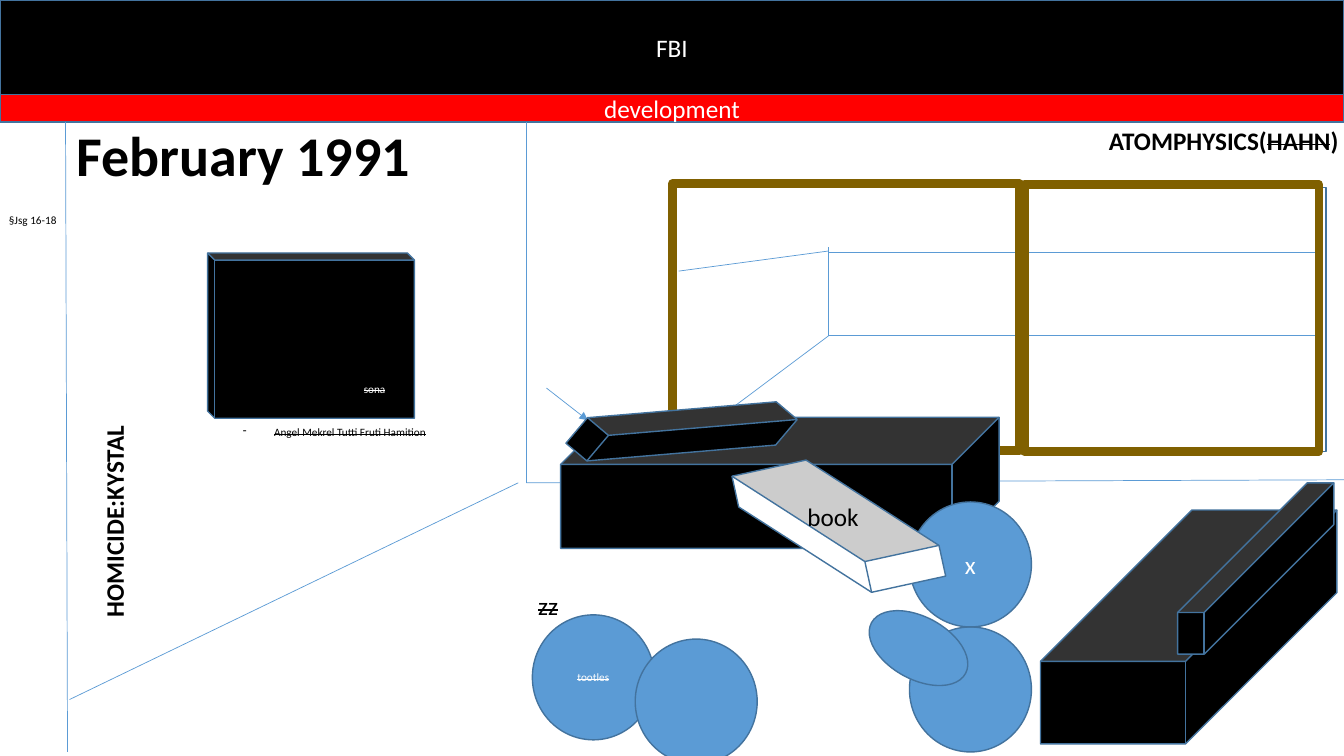
from lxml.etree import SubElement
from pptx import Presentation
from pptx.dml.color import RGBColor
from pptx.enum.shapes import MSO_CONNECTOR, MSO_SHAPE
from pptx.enum.text import MSO_ANCHOR, MSO_AUTO_SIZE, PP_ALIGN
from pptx.oxml.ns import qn
from pptx.util import Inches, Pt

BLACK, WHITE, RED = "000000", "FFFFFF", "FF0000"
BLUE, OUTLINE, BROWN = "5B9BD5", "43739E", "806000"
DISC = (1.21, 1.24)


def color(value):
    return RGBColor.from_string(value)


def format_span(span, size, ink, bold=False, strike=False):
    span.font.name = "Calibri"
    span.font.size = Pt(size)
    span.font.bold = bold
    span.font.color.rgb = color(ink)
    if strike:
        span.font._element.set("strike", "sngStrike")


def add_form(page, kind, left, top, width, height, fill=None, line=OUTLINE,
             weight=1, turn=0, depth=None):
    form = page.shapes.add_shape(kind, Inches(left), Inches(top),
                                 Inches(width), Inches(height))
    form.shadow.inherit = False
    form.rotation = turn
    if depth is not None:
        form.adjustments[0] = depth
    if fill:
        form.fill.solid()
        form.fill.fore_color.rgb = color(fill)
    else:
        form.fill.background()
    form.line.color.rgb = color(line)
    form.line.width = Pt(weight)
    return form


def add_caption(form, text, size, strike=False):
    frame = form.text_frame
    frame.text = text
    frame.vertical_anchor = MSO_ANCHOR.MIDDLE
    para = frame.paragraphs[0]
    para.alignment = PP_ALIGN.CENTER
    format_span(para.runs[0], size, WHITE, strike=strike)


def add_label(page, left, top, width, height, pieces, size, ink=BLACK,
              bold=False, wrap=False):
    """Write one line made of (text, strike) pieces."""
    box = page.shapes.add_textbox(Inches(left), Inches(top),
                                  Inches(width), Inches(height))
    frame = box.text_frame
    frame.word_wrap = wrap
    frame.auto_size = MSO_AUTO_SIZE.SHAPE_TO_FIT_TEXT
    for text, strike in pieces:
        span = frame.paragraphs[0].add_run()
        span.text = text
        format_span(span, size, ink, bold, strike)
    return box


def add_line(page, x1, y1, x2, y2):
    line = page.shapes.add_connector(MSO_CONNECTOR.STRAIGHT, Inches(x1),
                                     Inches(y1), Inches(x2), Inches(y2))
    line.line.color.rgb = color(BLUE)
    line.line.width = Pt(0.5)
    SubElement(line.element.spPr, qn("a:effectLst"))
    return line


def add_header(page, left, top, width):
    bands = [("FBI", 0, 0.94, BLACK), ("development", 0.94, 0.27, RED)]
    for text, offset, height, fill in bands:
        band = add_form(page, MSO_SHAPE.RECTANGLE, left, top + offset,
                        width, height, fill)
        add_caption(band, text, 18)


def add_room(page, left, top, width, height):
    corner_x, corner_y = left + 5.22, top + 3.58
    # Floor and wall edges
    add_line(page, left + 0.69, top + 5.73, corner_x - 0.08, corner_y)
    add_line(page, corner_x, corner_y, left + width, corner_y - 0.03)
    add_line(page, corner_x, corner_y, corner_x, top)
    add_line(page, left + 0.67, top + height - 0.04, left + 0.65, top)


def add_window(page, left, top, width, height):
    # Room seen through the glass
    back_x, floor_y, ceiling_y = left + 1.55, top + 1.51, top + 0.68
    for y in (floor_y, ceiling_y):
        add_line(page, back_x, y, left + 6.41, y)
    add_line(page, left + 0.12, top + 2.58, back_x, floor_y)
    add_line(page, back_x, floor_y, back_x, top + 0.63)
    add_line(page, back_x, top + 0.67, left + 0.06, top + 0.87)
    # Frame and two panes
    add_form(page, MSO_SHAPE.RECTANGLE, left, top + 0.04, width, height - 0.04)
    panes = [(3.49, 0.01, 2.92), (0, 0, 3.44)]
    for across, down, pane_width in panes:
        add_form(page, MSO_SHAPE.RECTANGLE, left + across, top + down,
                 pane_width, 2.65, line=BROWN, weight=6)


def add_television(page, left, top, width, height):
    screen = add_form(page, MSO_SHAPE.CUBE, left, top, width, height, BLACK,
                      depth=0.043)
    screen.element.spPr.get_or_add_xfrm().set("flipH", "1")
    add_label(page, left + 1.45, top + 1.23, 0.6, 0.24, [("sona", True)], 8,
              WHITE, wrap=True)
    # Dashed list entry under the screen
    note = add_label(page, left + 0.25, top + height + 0.02, 2.05, 0.24,
                     [("Angel Mekrel Tutti Fruti Hamition", True)], 8)
    settings = note.text_frame.paragraphs[0]._p.get_or_add_pPr()
    settings.set("marL", str(Inches(0.31)))
    settings.set("indent", str(-Inches(0.31)))
    SubElement(settings, qn("a:buChar")).set("char", "-")


def add_furniture(page, left, top):
    # Stacked discs on the right, the upper one behind the book
    discs = [(3.46, 2.08, ""), (-0.28, 1.96, "tootles"), (0.74, 2.2, ""),
             (3.46, 0.84, "x")]
    for across, down, text in discs[:3]:
        disc = add_form(page, MSO_SHAPE.OVAL, left + across, top + down,
                        *DISC, BLUE)
        if text:
            add_caption(disc, text, 8, strike=True)
    add_form(page, MSO_SHAPE.OVAL, left + 3.02, top + 1.98, 1.06, 0.62, BLUE,
             turn=28.4)
    # Table, then the disc beside it
    add_form(page, MSO_SHAPE.CUBE, left, top, 4.35, 1.3, BLACK, depth=0.36)
    across, down, text = discs[3]
    add_caption(add_form(page, MSO_SHAPE.OVAL, left + across, top + down,
                         *DISC, BLUE), text, 18)
    # Arrow pointing at the bar on the table
    arrow = add_line(page, left - 0.14, top - 0.29, left + 0.27, top + 0.03)
    SubElement(arrow.line._get_or_add_ln(), qn("a:tailEnd")).set(
        "type", "triangle")
    # Sofa seat and back, bar, book
    blocks = [(4.76, 0.92, 2.94, 2.32, BLACK, 0, 0.647),
              (6.12, 0.65, 1.55, 1.7, BLACK, 0, 0.83),
              (0.4, -0.69, 1.6, 1.66, BLACK, 40.2, 0.83),
              (2.05, 0.15, 1.42, 1.86, WHITE, 257.7, 0.78)]
    for across, down, width, height, fill, turn, depth in blocks:
        add_form(page, MSO_SHAPE.CUBE, left + across, top + down, width,
                 height, fill, turn=turn, depth=depth)
    add_label(page, left + 2.35, top + 0.78, 0.72, 0.4, [("book", False)], 18)
    add_label(page, left - 0.32, top + 1.67, 0.4, 0.4, [("zz", True)], 18)


def add_headings(page, left, top):
    title = page.shapes.title
    title.left, title.top = Inches(left + 0.66), Inches(top - 0.06)
    title.width, title.height = Inches(3.54), Inches(0.77)
    frame = title.text_frame
    frame.text = "February 1991"
    frame.word_wrap = False
    frame.auto_size = MSO_AUTO_SIZE.NONE
    frame.vertical_anchor = MSO_ANCHOR.TOP
    frame.paragraphs[0].alignment = PP_ALIGN.LEFT
    format_span(frame.paragraphs[0].runs[0], 40, BLACK, bold=True)
    add_label(page, left + 10.9, top - 0.02, 2.5, 0.4,
              [("ATOMPHYSICS(", False), ("HAHN", True), (")", False)], 18,
              bold=True)
    case = add_label(page, left + 0.07, top + 3.75, 2.12, 0.4,
                     [("HOMICIDE:KYSTAL", False)], 18, bold=True)
    case.rotation = 270
    add_label(page, left - 0.01, top + 0.86, 0.67, 0.24,
              [("§Jsg 16-18", False)], 8)


def main():
    deck = Presentation()
    deck.slide_width, deck.slide_height = Inches(13.33), Inches(7.5)
    page = deck.slides.add_slide(deck.slide_layouts[5])
    add_header(page, 0, 0, 13.33)
    add_room(page, 0, 1.21, 13.33, 6.29)
    add_window(page, 6.67, 1.82, 6.48, 2.66)
    add_television(page, 2.06, 2.51, 2.05, 1.64)
    add_headings(page, 0, 1.21)
    add_furniture(page, 5.56, 4.14)
    deck.save("out.pptx")


if __name__ == "__main__":
    main()
